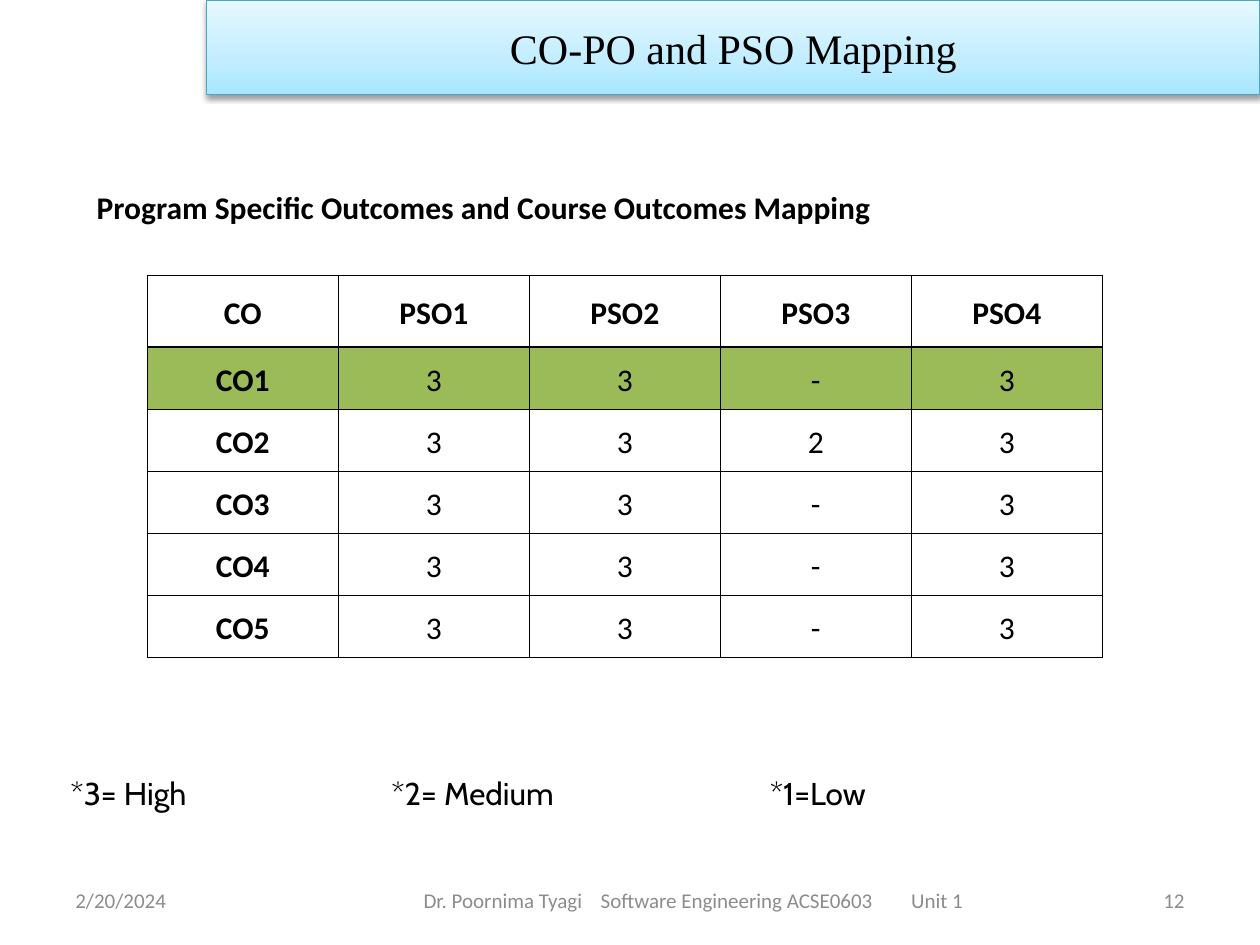
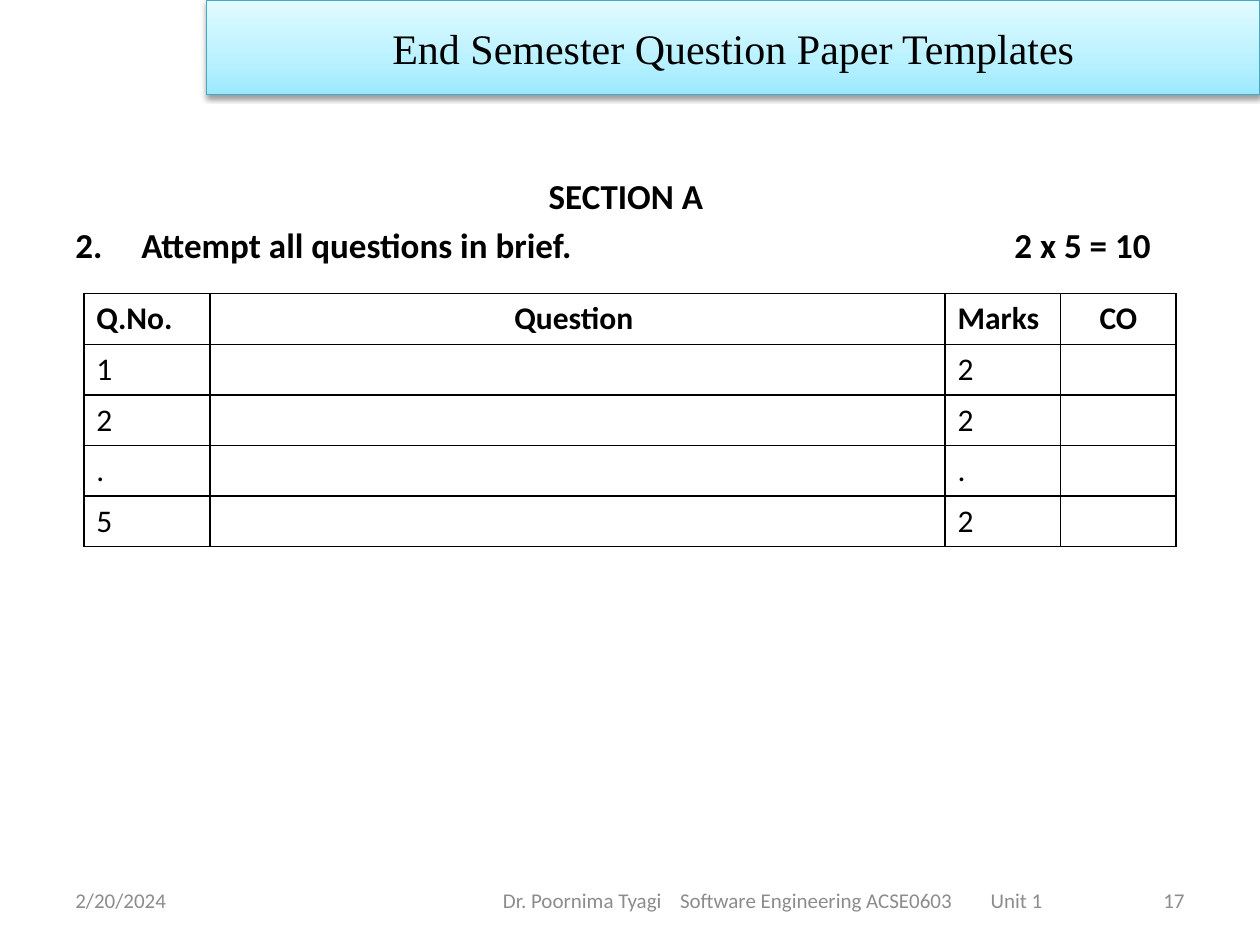
import lxml.etree
import pptx
import pptx.dml.color
import pptx.enum.shapes
import pptx.enum.text
import pptx.oxml
import pptx.oxml.ns
import pptx.util

Cm = pptx.util.Cm
Pt = pptx.util.Pt
ALIGN = pptx.enum.text.PP_ALIGN
MIDDLE = pptx.enum.text.MSO_ANCHOR.MIDDLE
TOP = pptx.enum.text.MSO_ANCHOR.TOP

BLACK = "000000"
WHITE = "FFFFFF"
GREY = "8C8C8C"
GREEN = "9BBB59"

TITLE = {"name": "Times New Roman", "size": Pt(24), "color": BLACK}
BODY = {"name": "Calibri", "size": Pt(18), "color": BLACK, "bold": False}
STRONG = BODY | {"bold": True}
SECTION = STRONG | {"size": Pt(20)}
LEGEND = BODY | {"name": "Cabin"}
FOOTER = {"name": "Calibri", "size": Pt(12), "color": GREY}

FOOTER_TOP, FOOTER_HEIGHT, FOOTER_RIGHT = 17.65, 1.01, 24.13
FOOTER_TEXT_WIDTH = 10.87
FOOTER_TABS = [3.57, 9.83]


def rgb(code):
    return pptx.dml.color.RGBColor.from_string(code)


def set_all(target, values):
    for name, value in values.items():
        setattr(target, name, value)


def add_span(para, text, style):
    span = para.add_run()
    span.text = text
    set_all(span.font, {key: value for key, value in style.items() if key != "color"})
    span.font.color.rgb = rgb(style["color"])


def add_tabs(para, stops):
    """Add left tab stops, in centimetres from the text edge."""
    tab_list = pptx.oxml.ns.qn("a:tabLst")
    tabs = lxml.etree.SubElement(para._p.get_or_add_pPr(), tab_list)
    for stop in stops:
        lxml.etree.SubElement(tabs, pptx.oxml.ns.qn("a:tab"), pos=str(int(Cm(stop))), algn="l")


def fill_para(para, text, style, align=ALIGN.LEFT, tabs=()):
    para.alignment = align
    if tabs:
        add_tabs(para, tabs)
    add_span(para, text, style)


def add_text(page, place, text, style, align=ALIGN.LEFT, tabs=(), **frame_values):
    box = page.shapes.add_textbox(*map(Cm, place))
    frame = box.text_frame
    set_all(frame, {"word_wrap": True, "vertical_anchor": MIDDLE} | frame_values)
    fill_para(frame.paragraphs[0], text, style, align, tabs)
    return frame


def add_title(page, text, shades, outline):
    """Draw the title band; shades run from bottom to top."""
    band = page.shapes.add_shape(
        pptx.enum.shapes.MSO_SHAPE.RECTANGLE, Cm(4.17), Cm(0), Cm(21.23), Cm(1.91))
    band.line.color.rgb = rgb(outline)
    band.line.width = Pt(0.75)
    band.shadow.inherit = False
    namespace = pptx.oxml.ns.nsdecls("a")
    stops = "".join(
        f'<a:gs pos="{position * 1000}"><a:srgbClr val="{shade}"/></a:gs>'
        for position, shade in zip((0, 35, 100), shades))
    gradient = pptx.oxml.parse_xml(
        f'<a:gradFill {namespace} rotWithShape="1"><a:gsLst>{stops}</a:gsLst>'
        '<a:lin ang="16200000" scaled="0"/></a:gradFill>')
    shadow = pptx.oxml.parse_xml(
        f'<a:outerShdw {namespace} blurRad="{Pt(3.1)}" dist="{Pt(1.6)}" dir="5400000" '
        'rotWithShape="0"><a:srgbClr val="000000"><a:alpha val="38000"/></a:srgbClr></a:outerShdw>')
    properties = band.element.spPr
    properties.find(pptx.oxml.ns.qn("a:ln")).addprevious(gradient)
    properties.find(pptx.oxml.ns.qn("a:effectLst")).append(shadow)
    band.text_frame.vertical_anchor = MIDDLE
    fill_para(band.text_frame.paragraphs[0], text, TITLE, ALIGN.CENTER)


def add_footer(page, number, number_left, course_left, course_width):
    def add_part(left, width, text, **options):
        add_text(page, (left, FOOTER_TOP, width, FOOTER_HEIGHT), text, FOOTER, **options)

    add_part(1.27, 5.93, "2/20/2024")
    add_part(course_left, course_width,
             "Dr. Poornima Tyagi\tSoftware Engineering ACSE0603\tUnit 1", tabs=FOOTER_TABS,
             margin_left=Cm((course_width - FOOTER_TEXT_WIDTH) / 2), margin_right=0)
    add_part(number_left, FOOTER_RIGHT - number_left, number, align=ALIGN.RIGHT)


def add_borders(cell):
    properties = cell._tc.get_or_add_tcPr()
    for index, side in enumerate("LRTB"):
        properties.insert(index, pptx.oxml.parse_xml(
            f'<a:ln{side} {pptx.oxml.ns.nsdecls("a")} w="{Pt(1)}"><a:solidFill>'
            f'<a:srgbClr val="{BLACK}"/></a:solidFill></a:ln{side}>'))


def add_grid(page, left, top, widths, heights, rows, aligns, cell_values=None,
             line_spacing=None, bold_first_column=False, row_fills=None):
    """Add a ruled table with a bold first row."""
    table = page.shapes.add_table(
        len(rows), len(widths), Cm(left), Cm(top), Cm(sum(widths)), Cm(sum(heights))).table
    set_all(table, {"first_row": False, "horz_banding": False})
    for column, width in zip(table.columns, widths):
        column.width = Cm(width)
    for row_index, (texts, height) in enumerate(zip(rows, heights)):
        table.rows[row_index].height = Cm(height)
        for column_index, text in enumerate(texts):
            cell = table.cell(row_index, column_index)
            set_all(cell, cell_values or {})
            cell.fill.solid()
            cell.fill.fore_color.rgb = rgb((row_fills or {}).get(row_index, WHITE))
            add_borders(cell)
            if text:
                para = cell.text_frame.paragraphs[0]
                para.line_spacing = line_spacing
                strong = row_index == 0 or (bold_first_column and column_index == 0)
                fill_para(para, text, STRONG if strong else BODY, aligns[column_index])


def add_mapping_page(page):
    add_title(page, "CO-PO and PSO Mapping", ("A7E6FF", "C1EDFF", "E7F8FF"), "46AAC5")
    add_text(page, (0, 15.47, 24.82, 1.02), "*3= High\t*2= Medium\t*1=Low", LEGEND,
             tabs=(6.47, 14.1), margin_left=Cm(1.42))
    add_text(page, (1.19, 3.66, 21.64, 0.89),
             "Program Specific Outcomes and Course Outcomes Mapping", STRONG,
             margin_left=Cm(0.76), margin_bottom=0)
    third_outcome = ["-", "2", "-", "-", "-"]
    rows = [["CO", "PSO1", "PSO2", "PSO3", "PSO4"]]
    rows += [[f"CO{number}", "3", "3", level, "3"]
             for number, level in enumerate(third_outcome, 1)]
    side, edge = Cm(0.18), Cm(0)
    add_grid(page, 2.97, 5.55, [3.85] * 5, [1.45] + [1.25] * 5, rows, [ALIGN.CENTER] * 5,
             {"vertical_anchor": MIDDLE, "margin_left": side, "margin_right": side,
              "margin_top": edge, "margin_bottom": edge},
             line_spacing=1.15, bold_first_column=True, row_fills={1: GREEN})
    add_footer(page, "12", 18.21, 6.99, 13.97)


def add_question_page(page):
    add_title(page, "End Semester Question Paper Templates",
              ("9BE9FF", "B8F1FF", "E2FBFF"), "45A9C4")
    frame = add_text(page, (1.27, 3.4, 22.86, 13.21), "SECTION A ", SECTION, ALIGN.CENTER,
                     vertical_anchor=TOP)
    para = frame.add_paragraph()
    para.space_before = Pt(4)
    fill_para(para, "2.\tAttempt all questions in brief.\t2 x 5 = 10", SECTION,
              tabs=(1.33, 18.93))
    rows = [["Q.No.", "Question ", "Marks", "CO"]]
    rows += [[number, "", marks, ""] for number, marks in zip("12.5", "22.2")]
    add_grid(page, 1.69, 5.92, [2.54, 14.82, 2.33, 2.33], [1.02] * 5, rows,
             [ALIGN.LEFT, ALIGN.CENTER] * 2)
    add_footer(page, "17", 5.16, 8.69, 13.77)


def main():
    deck = pptx.Presentation()
    set_all(deck, {"slide_width": Cm(25.4), "slide_height": Cm(19.05)})
    for build in (add_mapping_page, add_question_page):
        build(deck.slides.add_slide(deck.slide_layouts[6]))
    deck.save("out.pptx")


if __name__ == "__main__":
    main()
